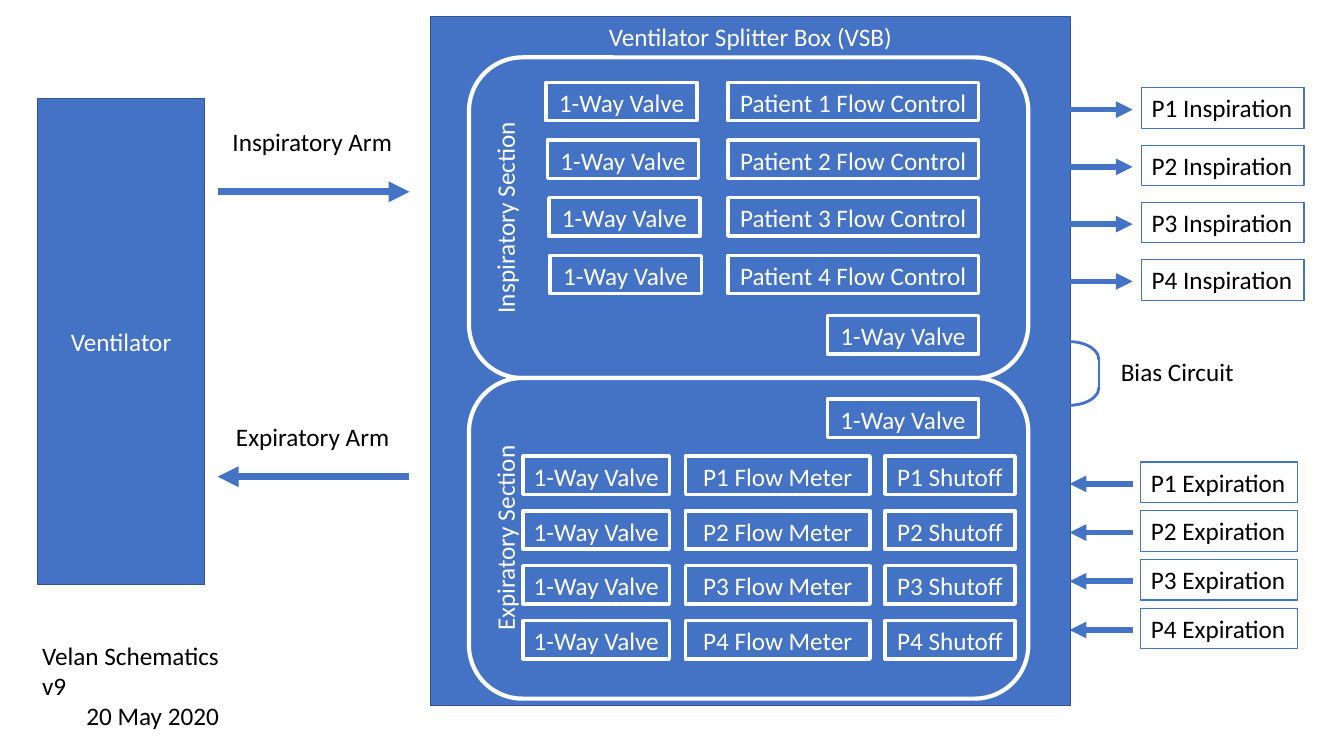
from dataclasses import dataclass

import pptx
import pptx.dml.color
import pptx.enum.shapes
import pptx.enum.text
import pptx.oxml
import pptx.oxml.ns
import pptx.shapes.autoshape
import pptx.shapes.connector
import pptx.slide
import pptx.util

Pt = pptx.util.Pt
RGB = pptx.dml.color.RGBColor
SHAPE = pptx.enum.shapes.MSO_SHAPE
ALIGN = pptx.enum.text.PP_ALIGN
ANCHOR = pptx.enum.text.MSO_ANCHOR


@dataclass(frozen=True)
class Theme:
    font: str = "Calibri"
    size: float = 18
    blue: RGB = RGB(0x44, 0x72, 0xC4)
    outline: RGB = RGB(0x32, 0x54, 0x91)
    white: RGB = RGB(0xFF, 0xFF, 0xFF)
    black: RGB = RGB(0, 0, 0)


THEME = Theme()


@dataclass(frozen=True)
class Style:
    """Look of a box; None for fill or line means there is none."""
    fill: RGB | None
    line: RGB | None
    weight: float
    ink: RGB
    align: ALIGN
    wrap: bool
    geometry: SHAPE = SHAPE.RECTANGLE


HOUSING = Style(THEME.blue, THEME.outline, 1, THEME.white, ALIGN.CENTER, True)
SECTION = Style(THEME.blue, THEME.white, 3, THEME.white, ALIGN.CENTER, True,
                SHAPE.ROUNDED_RECTANGLE)
PART = Style(THEME.blue, THEME.white, 2.5, THEME.white, ALIGN.CENTER, True)
PORT = Style(None, THEME.blue, 0.75, THEME.black, ALIGN.LEFT, False)
LABEL = Style(None, None, 0, THEME.black, ALIGN.LEFT, False)
CURVE = Style(None, THEME.blue, 2, THEME.black, ALIGN.CENTER, True, SHAPE.ARC)


@dataclass(frozen=True)
class Box:
    text: str
    left: float
    top: float
    width: float
    height: float


@dataclass(frozen=True)
class Column:
    """Boxes repeated downwards; {} in the text is the patient number."""
    text: str
    left: float
    width: float
    shift: float = 0


def add_box(slide: pptx.slide.Slide, box: Box,
            style: Style) -> pptx.shapes.autoshape.Shape:
    frame = Pt(box.left), Pt(box.top), Pt(box.width), Pt(box.height)
    if style is LABEL:
        shape = slide.shapes.add_textbox(*frame)
    else:
        shape = slide.shapes.add_shape(style.geometry, *frame)
        shape.shadow.inherit = False
    if style.fill is None:
        shape.fill.background()
    else:
        shape.fill.solid()
        shape.fill.fore_color.rgb = style.fill
    if style.line is None:
        shape.line.fill.background()
    else:
        shape.line.color.rgb = style.line
        shape.line.width = Pt(style.weight)
    text_frame = shape.text_frame
    text_frame.word_wrap = style.wrap
    text_frame.vertical_anchor = ANCHOR.TOP
    if box.text:
        text_frame.text = box.text
        for paragraph in text_frame.paragraphs:
            paragraph.alignment = style.align
            paragraph.font.name = THEME.font
            paragraph.font.size = Pt(THEME.size)
            paragraph.font.color.rgb = style.ink
    return shape


def add_line(slide: pptx.slide.Slide, start: tuple[float, float],
             end: tuple[float, float], weight: float,
             arrow: bool = True) -> pptx.shapes.connector.Connector:
    line = slide.shapes.add_connector(
        pptx.enum.shapes.MSO_CONNECTOR.STRAIGHT,
        *(Pt(length) for length in start + end))
    line.line.color.rgb = THEME.blue
    line.line.width = Pt(weight)
    if arrow:
        tail = pptx.oxml.parse_xml(
            f'<a:tailEnd {pptx.oxml.ns.nsdecls("a")} type="triangle"/>')
        line.line._get_or_add_ln().append(tail)
    line._element.spPr.append(pptx.oxml.parse_xml(
        f'<a:effectLst {pptx.oxml.ns.nsdecls("a")}/>'))
    return line


def add_rows(slide: pptx.slide.Slide, columns: list[Column],
             top: float, step: float) -> None:
    for row in range(PATIENTS):
        for column in columns:
            add_box(slide, Box(column.text.format(row + 1),
                               column.left + row * column.shift,
                               top + row * step, column.width, PART_HEIGHT), PART)


def add_ports(slide: pptx.slide.Slide, column: Column, top: float,
              step: float, outward: bool) -> None:
    for row in range(PATIENTS):
        y = top + row * step
        ends = [(764, y + 15.6), (809, y + 15.6)]
        add_line(slide, *(ends if outward else ends[::-1]), 4)
        add_box(slide, Box(column.text.format(row + 1), column.left, y,
                           column.width, LABEL_HEIGHT), PORT)


PATIENTS = 4
PART_HEIGHT = 27.4
LABEL_HEIGHT = 29
VALVE = "1-Way Valve"

presentation = pptx.Presentation()
presentation.slide_width = Pt(960)
presentation.slide_height = Pt(540)
slide = presentation.slides.add_slide(presentation.slide_layouts[6])

# Ventilator and splitter box with its two sections
ventilator = add_box(slide, Box("Ventilator", 27, 70.5, 119, 347), HOUSING)
ventilator.text_frame.vertical_anchor = ANCHOR.MIDDLE
add_box(slide, Box("Ventilator Splitter Box (VSB)", 307.5, 12, 457, 492), HOUSING)
for name, top in (("Inspiratory Section", 41), ("Expiratory Section", 270)):
    section = add_box(slide, Box(name, 335, top, 399.5, 229), SECTION)
    section.text_frame._txBody.bodyPr.set("vert", "vert270")

# Arms between ventilator and splitter box
add_box(slide, Box("Inspiratory Arm", 159, 86.5, 130, LABEL_HEIGHT), LABEL)
add_line(slide, (155.5, 137), (292.5, 137), 5)
add_box(slide, Box("Expiratory Arm", 161.5, 297.5, 125, LABEL_HEIGHT), LABEL)
add_line(slide, (292.5, 340.5), (155.5, 340.5), 5)

# Parts for each patient
add_rows(slide, [Column(VALVE, 390, 108, shift=1),
                 Column("Patient {} Flow Control", 520, 179)], 58.8, 41.2)
add_rows(slide, [Column(VALVE, 373.7, 104.4),
                 Column("P{} Flow Meter", 489.5, 132),
                 Column("P{} Shutoff", 632, 93)], 325.7, 39.2)

# Patient ports
add_ports(slide, Column("P{} Inspiration", 815.5, 116), 62.7, 40.9, True)
add_ports(slide, Column("P{} Expiration", 815, 111.6), 330, 34.8, False)

# Bias circuit: a valve on each side and the loop joining them
for top in (225.4, 285.1):
    add_box(slide, Box(VALVE, 591, top, 108, PART_HEIGHT), PART)
add_box(slide, Box("", 743, 244, 42, 26), CURVE)
add_line(slide, (785, 257), (785, 276.5), 2, arrow=False)
lower_curve = add_box(slide, Box("", 751, 255.5, 26, 42), CURVE)
lower_curve.rotation = 90
add_box(slide, Box("Bias Circuit", 793.5, 251.3, 95.5, LABEL_HEIGHT), LABEL)

# Version and date
version = add_box(
    slide, Box("Velan Schematics v9\n20 May 2020", 23, 453.6, 158.5, 51), LABEL)
version.text_frame.paragraphs[1].alignment = ALIGN.RIGHT

presentation.save("out.pptx")
